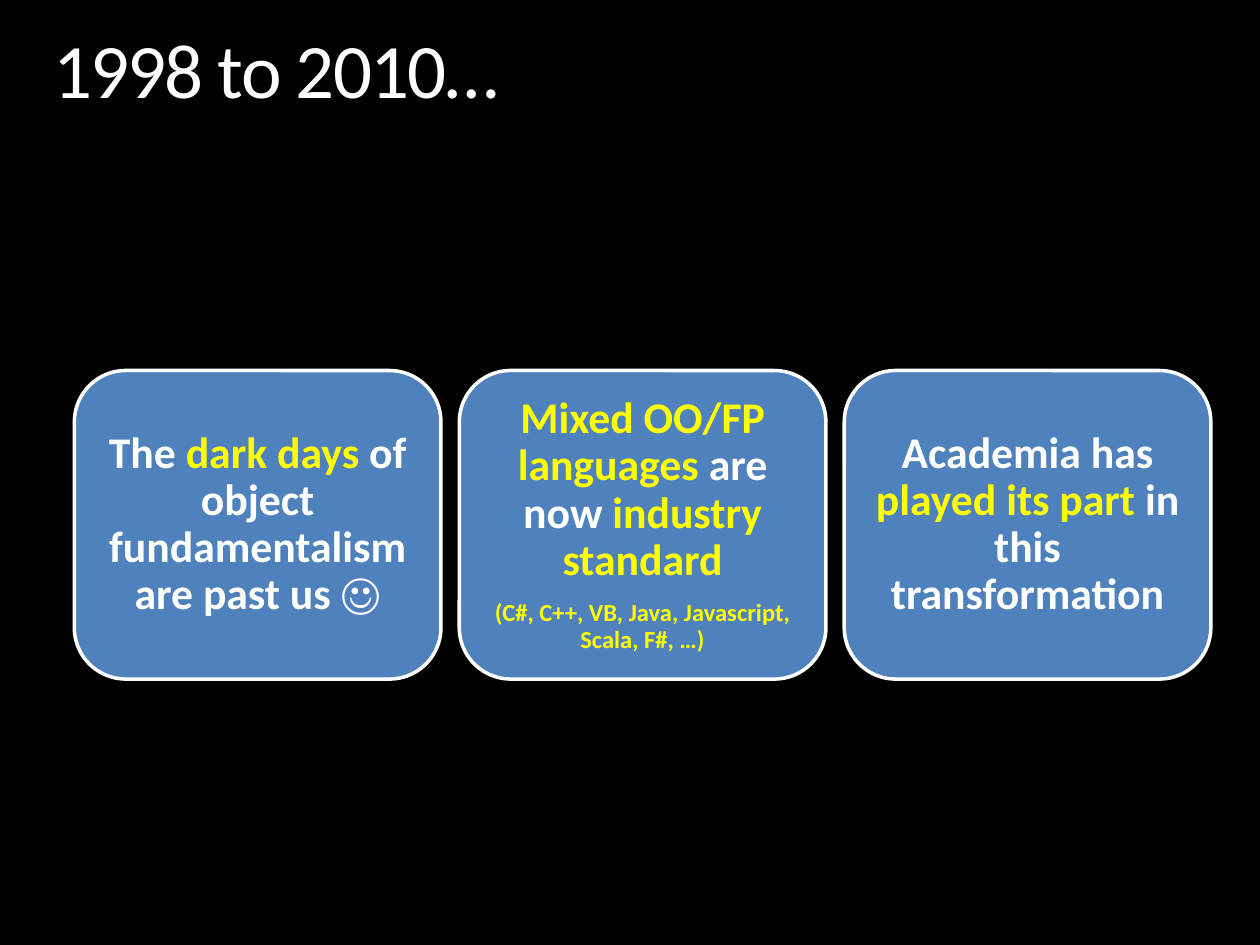
from pptx import Presentation
from pptx.dml.color import RGBColor
from pptx.enum.shapes import MSO_SHAPE as Shape
from pptx.enum.text import MSO_ANCHOR as Anchor, MSO_AUTO_SIZE as AutoSize, PP_ALIGN as Align
from pptx.util import Cm, Pt

COLORS = {"black": "000000", "white": "FFFFFF", "yellow": "FFFF00", "blue": "4F81BD"}
FONT = "Calibri"

TITLE = "1998 to 2010…"
# Each card is a list of paragraphs: (size in points, [(text, color), ...])
CARDS = [
    [(25, [("The ", "white"), ("dark days ", "yellow"),
           ("of object fundamentalism are past us ☺", "white")])],
    [(25, [("Mixed OO/FP languages ", "yellow"), ("are now ", "white"),
           ("industry standard", "yellow")]),
     (14, [("(C#, C++, VB, Java, Javascript, Scala, F#, …)", "yellow")])],
    [(25, [("Academia has ", "white"), ("played its part ", "yellow"),
           ("in this transformation", "white")])],
]

CARD_LEFT, CARD_TOP = 1.5, 7.47
CARD_WIDTH, CARD_HEIGHT = 7.39, 6.22
CARD_STEP = 7.76
CARD_INSET = 0.25
PARAGRAPH_GAP = 0.35  # share of the text size


def color(name):
    return RGBColor.from_string(COLORS[name])


def set_frame(frame, inset, anchor):
    frame.word_wrap = True
    frame.vertical_anchor = anchor
    frame.margin_left = frame.margin_right = Cm(inset)
    frame.margin_top = frame.margin_bottom = Cm(inset)


def add_span(para, text, size, color_name, bold=False):
    span = para.add_run()
    span.text = text
    span.font.name = FONT
    span.font.size = Pt(size)
    span.font.bold = bold
    span.font.color.rgb = color(color_name)
    return span


def add_title(page):
    title = page.shapes.title
    title.left, title.top, title.width, title.height = Cm(1.07), Cm(0.64), Cm(23.29), Cm(1.7)
    frame = title.text_frame
    set_frame(frame, 0, Anchor.TOP)
    frame.auto_size = AutoSize.SHAPE_TO_FIT_TEXT
    para = frame.paragraphs[0]
    para.alignment = Align.LEFT
    para.line_spacing = 0.9
    span = add_span(para, TITLE, 44, "white")
    span.font._element.set("spc", "-100")


def add_card(page, index, paragraphs):
    card = page.shapes.add_shape(
        Shape.ROUNDED_RECTANGLE, Cm(CARD_LEFT + index * CARD_STEP), Cm(CARD_TOP),
        Cm(CARD_WIDTH), Cm(CARD_HEIGHT))
    card.shadow.inherit = False
    card.fill.solid()
    card.fill.fore_color.rgb = color("blue")
    card.line.color.rgb = color("white")
    card.line.width = Pt(2)
    frame = card.text_frame
    set_frame(frame, CARD_INSET, Anchor.MIDDLE)
    for number, (size, spans) in enumerate(paragraphs):
        para = frame.add_paragraph() if number else frame.paragraphs[0]
        para.alignment = Align.CENTER
        para.line_spacing = 0.9
        if number < len(paragraphs) - 1:
            para.space_after = Pt(round(size * PARAGRAPH_GAP))
        for text, color_name in spans:
            add_span(para, text, size, color_name, bold=True)


def main():
    deck = Presentation()
    deck.slide_width, deck.slide_height = Cm(25.4), Cm(19.05)
    page = deck.slides.add_slide(deck.slide_layouts.get_by_name("Title Only"))
    page.background.fill.solid()
    page.background.fill.fore_color.rgb = color("black")
    add_title(page)
    for index, paragraphs in enumerate(CARDS):
        add_card(page, index, paragraphs)
    deck.save("out.pptx")


if __name__ == "__main__":
    main()
